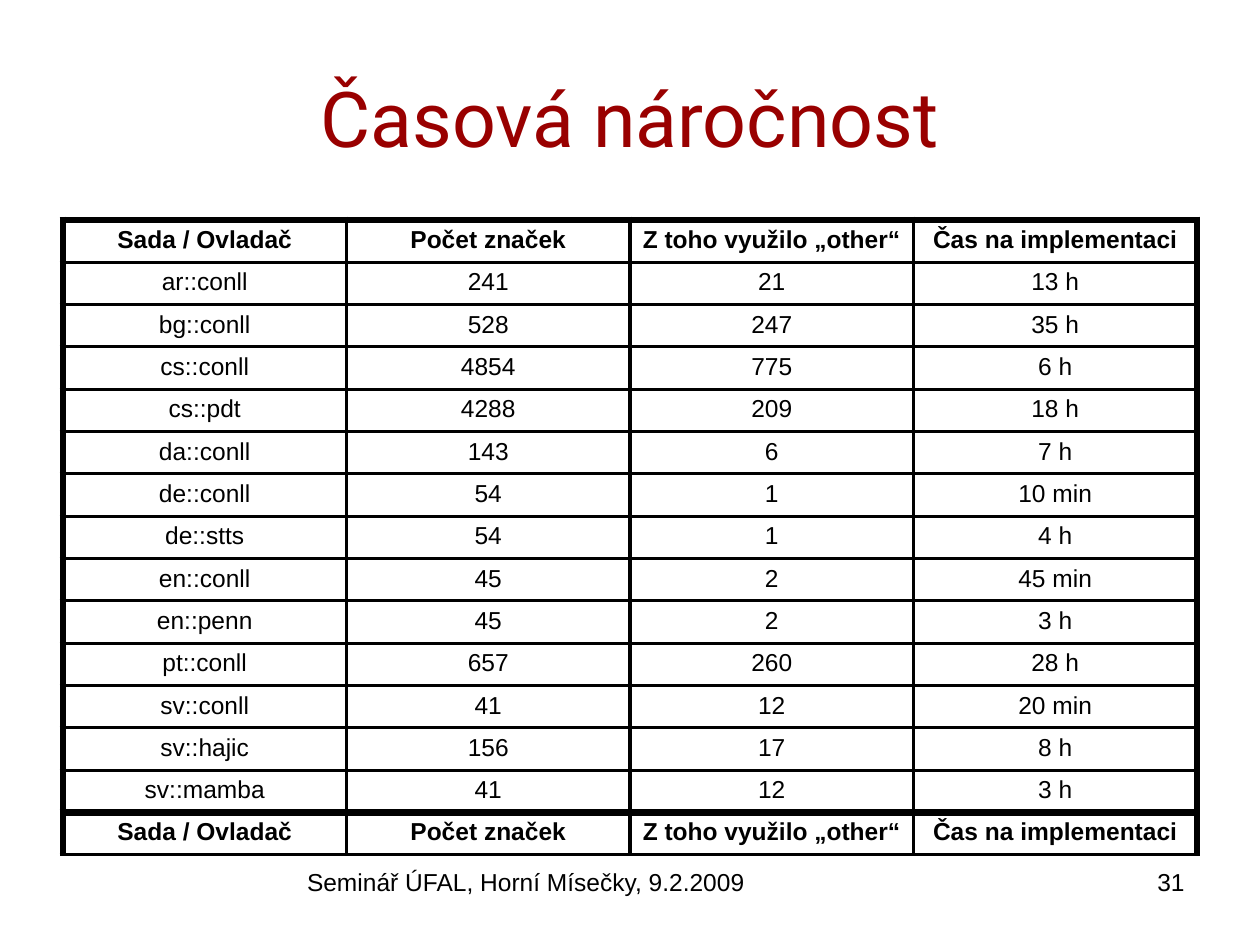
import lxml.etree
import pptx
import pptx.dml.color
import pptx.enum.text
import pptx.oxml.ns
import pptx.util

BLACK = pptx.dml.color.RGBColor(0x00, 0x00, 0x00)
DARK_RED = pptx.dml.color.RGBColor(0x99, 0x00, 0x00)
ALIGN = pptx.enum.text.PP_ALIGN
ANCHOR = pptx.enum.text.MSO_ANCHOR
THIN, THICK = 1.98, 4.48

HEADER = ("Sada / Ovladač", "Počet značek", "Z toho využilo „other“", "Čas na implementaci")
DRIVERS = [
    ("ar::conll", "241", "21", "13 h"),
    ("bg::conll", "528", "247", "35 h"),
    ("cs::conll", "4854", "775", "6 h"),
    ("cs::pdt", "4288", "209", "18 h"),
    ("da::conll", "143", "6", "7 h"),
    ("de::conll", "54", "1", "10 min"),
    ("de::stts", "54", "1", "4 h"),
    ("en::conll", "45", "2", "45 min"),
    ("en::penn", "45", "2", "3 h"),
    ("pt::conll", "657", "260", "28 h"),
    ("sv::conll", "41", "12", "20 min"),
    ("sv::hajic", "156", "17", "8 h"),
    ("sv::mamba", "41", "12", "3 h"),
]


def px(length):
    return pptx.util.Emu(round(length * 914400 / 126))


class SlideBuilder:
    """Hold the text style and the current slide, and add elements to it."""

    def __init__(self, slide, font="Arial", size=14, color=BLACK):
        self.slide = slide
        self.font = font
        self.size = size
        self.color = color

    def fill_paragraph(self, paragraph, text, align, bold=False, font=None, size=None, color=None):
        paragraph.text = text
        paragraph.alignment = align
        paragraph.font.name = font or self.font
        paragraph.font.size = pptx.util.Pt(size or self.size)
        paragraph.font.bold = bold
        paragraph.font.color.rgb = color or self.color

    def text(self, left, top, width, height, text, align, anchor=ANCHOR.TOP, **style):
        shape = self.slide.shapes.add_textbox(px(left), px(top), px(width), px(height))
        frame = shape.text_frame
        frame.word_wrap = True
        frame.vertical_anchor = anchor
        self.fill_paragraph(frame.paragraphs[0], text, align, **style)

    def border(self, cell, side, width):
        properties = cell._tc.get_or_add_tcPr()
        line = lxml.etree.SubElement(
            properties, pptx.oxml.ns.qn(f"a:ln{side}"), w=str(pptx.util.Pt(width))
        )
        fill = lxml.etree.SubElement(line, pptx.oxml.ns.qn("a:solidFill"))
        lxml.etree.SubElement(fill, pptx.oxml.ns.qn("a:srgbClr"), val=str(BLACK))

    def table(self, left, top, width, height, rows):
        columns = len(rows[0])
        frame = self.slide.shapes.add_table(
            len(rows), columns, px(left), px(top), px(width), px(height)
        )
        table = frame.table
        table.first_row = False
        table.horz_banding = False
        for row_index, values in enumerate(rows):
            is_header = values == HEADER
            for column_index, value in enumerate(values):
                cell = table.cell(row_index, column_index)
                paragraph = cell.text_frame.paragraphs[0]
                self.fill_paragraph(paragraph, value, ALIGN.CENTER, bold=is_header)
                heavy_sides = {
                    "L": column_index == 0,
                    "R": column_index == columns - 1,
                    "T": is_header,
                    "B": False,
                }
                for side, heavy in heavy_sides.items():
                    self.border(cell, side, THICK if heavy else THIN)
                cell.fill.background()


def main():
    presentation = pptx.Presentation()
    presentation.slide_width = px(1260)
    presentation.slide_height = px(945)
    builder = SlideBuilder(presentation.slides.add_slide(presentation.slide_layouts[6]))
    builder.text(63, 38, 1134, 157, "Časová náročnost", ALIGN.CENTER, ANCHOR.MIDDLE,
                 font="Roboto", size=44, color=DARK_RED)
    builder.table(63, 220, 1134, 635, [HEADER, *DRIVERS, HEADER])
    builder.text(223, 861, 606, 65, "Seminář ÚFAL, Horní Mísečky, 9.2.2009", ALIGN.CENTER)
    builder.text(903, 861, 294, 65, "31", ALIGN.RIGHT)
    presentation.save("out.pptx")


if __name__ == "__main__":
    main()
